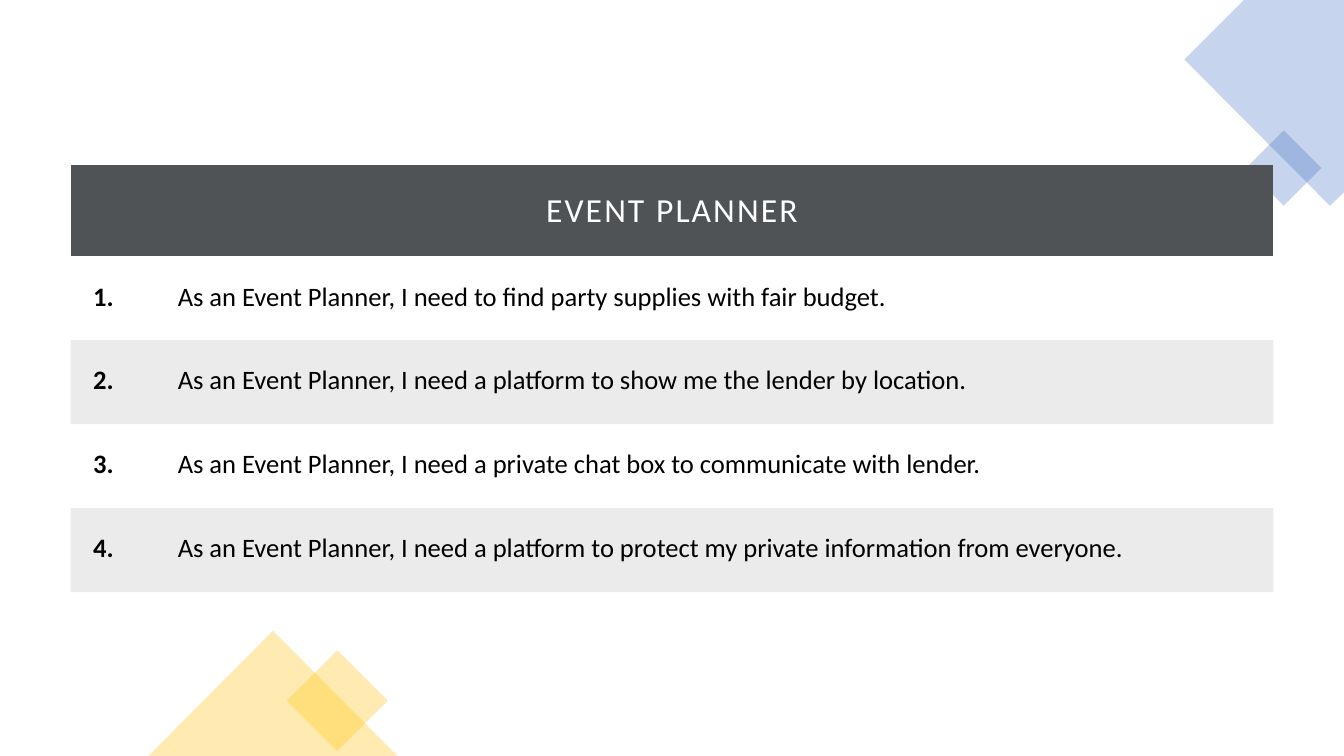
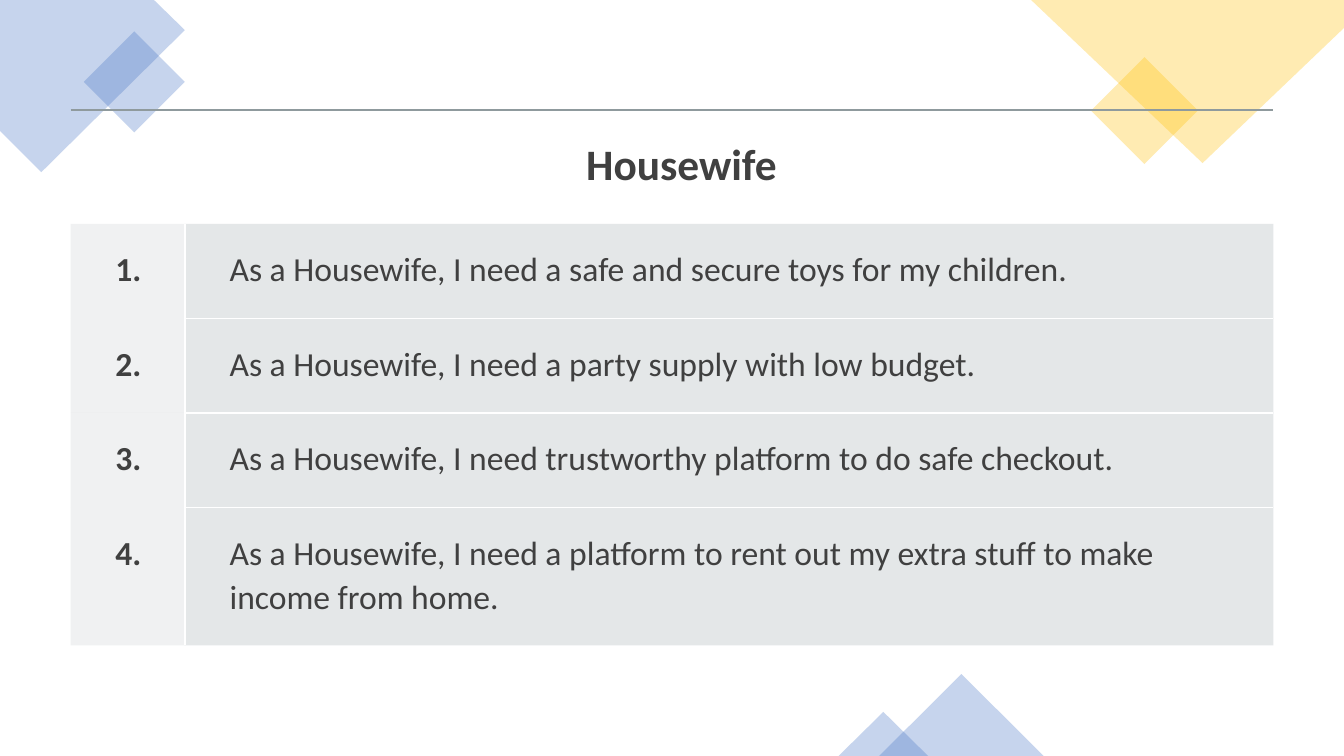
from dataclasses import dataclass
from math import sqrt

from lxml import etree
from pptx import Presentation
from pptx.dml.color import RGBColor
from pptx.enum import shapes as kinds, text as texts
from pptx.oxml import ns
from pptx.util import Pt


@dataclass(frozen=True)
class Theme:
    font: str = "Calibri"
    blue: str = "4472C4"
    yellow: str = "FFC000"
    white: str = "FFFFFF"
    black: str = "000000"
    slate: str = "505356"
    ink: str = "404040"
    mist: str = "B4BCBE"
    rule: str = "8F9A9D"
    rule_width: float = 1.5
    decor_alpha: int = 30
    line_spacing: float = 1.07
    space_after: int = 8
    table_left: float = 50.5
    table_width: float = 859


@dataclass(frozen=True)
class StoryStyle:
    top: float
    number_width: float
    header_height: float
    row_heights: tuple
    header_size: int
    story_size: int
    header_color: str
    story_color: str
    header_insets: tuple
    story_insets: tuple
    header_bold: bool = False
    header_spacing: int = 0


THEME = Theme()

PLANNER_STYLE = StoryStyle(
    top=118, number_width=60.5, header_height=65, row_heights=(60,) * 4,
    header_size=24, story_size=19,
    header_color=THEME.white, story_color=THEME.black,
    header_insets=(16, 16), story_insets=(16, 16), header_spacing=150,
)
HOUSEWIFE_STYLE = StoryStyle(
    top=78.5, number_width=81.5, header_height=81.5,
    row_heights=(67.5, 67.5, 67.5, 98.5),
    header_size=31, story_size=24,
    header_color=THEME.ink, story_color=THEME.ink,
    header_insets=(32, 18.5), story_insets=(32, 16.5), header_bold=True,
)

PLANNER_STORIES = (
    "As an Event Planner, I need to find party supplies with fair budget.",
    "As an Event Planner, I need a platform to show me the lender by location.",
    "As an Event Planner, I need a private chat box to communicate with lender.",
    "As an Event Planner, I need a platform to protect my private information from everyone.",
)
HOUSEWIFE_STORIES = (
    "As a Housewife, I need a safe and secure toys for my children.",
    "As a Housewife, I need a party supply with low budget.",
    "As a Housewife, I need trustworthy platform to do safe checkout.",
    "As a Housewife, I need a platform to rent out my extra stuff to make income from home.",
)


def set_alpha(parent, percent):
    color = parent.find(".//" + ns.qn("a:srgbClr"))
    etree.SubElement(color, ns.qn("a:alpha"), val=str(percent * 1000))


def tint(decor, color):
    decor.shadow.inherit = False
    decor.line.fill.background()
    decor.fill.solid()
    decor.fill.fore_color.rgb = RGBColor.from_string(color)
    set_alpha(decor.fill._xPr, THEME.decor_alpha)


def add_square(slide, center_x, center_y, side, color):
    span = side * sqrt(2)
    tint(slide.shapes.add_shape(
        kinds.MSO_SHAPE.DIAMOND, Pt(center_x - span / 2), Pt(center_y - span / 2),
        Pt(span), Pt(span)), color)


def add_peak(slide, left, top, width, color):
    tint(slide.shapes.add_shape(
        kinds.MSO_SHAPE.ISOSCELES_TRIANGLE, Pt(left), Pt(top),
        Pt(width), Pt(540 - top)), color)


def add_corner(slide, corners, color):
    (start_x, start_y), *others = corners
    outline = slide.shapes.build_freeform(Pt(start_x), Pt(start_y))
    outline.add_line_segments([(Pt(x), Pt(y)) for x, y in others], close=True)
    tint(outline.convert_to_shape(), color)


def set_borders(cell, colors, alpha=100):
    properties = cell._tc.get_or_add_tcPr()
    for side in "LRTB":
        border = etree.SubElement(properties, ns.qn("a:ln" + side))
        if side in colors:
            border.set("w", str(Pt(THEME.rule_width)))
            solid = etree.SubElement(border, ns.qn("a:solidFill"))
            etree.SubElement(solid, ns.qn("a:srgbClr"), val=colors[side])
            set_alpha(solid, alpha)
        else:
            border.set("w", "0")
            etree.SubElement(border, ns.qn("a:noFill"))


def fill_cell(cell, color=None, alpha=100):
    if color is None:
        cell.fill.background()
    else:
        cell.fill.solid()
        cell.fill.fore_color.rgb = RGBColor.from_string(color)
        set_alpha(cell._tc.tcPr.find(ns.qn("a:solidFill")), alpha)


def write_cell(cell, words, size, color, insets, bold=False, centered=False, spacing=0):
    left, others = insets
    cell.margin_left = Pt(left)
    cell.margin_right = cell.margin_top = cell.margin_bottom = Pt(others)
    cell.vertical_anchor = texts.MSO_ANCHOR.TOP
    paragraph = cell.text_frame.paragraphs[0]
    paragraph.alignment = texts.PP_ALIGN.CENTER if centered else texts.PP_ALIGN.LEFT
    paragraph.line_spacing = THEME.line_spacing
    paragraph.space_after = Pt(THEME.space_after)
    run = paragraph.add_run()
    run.text = words
    run.font.name = THEME.font
    run.font.size = Pt(size)
    run.font.bold = bold
    run.font.color.rgb = RGBColor.from_string(color)
    if spacing:
        run.font._element.set("spc", str(spacing))


def add_stories(slide, role, stories, style, paint):
    heights = (style.header_height, *style.row_heights)
    grid = slide.shapes.add_table(
        len(heights), 2, Pt(THEME.table_left), Pt(style.top),
        Pt(THEME.table_width), Pt(sum(heights))).table
    grid.first_row = grid.horz_banding = False
    grid.columns[0].width = Pt(style.number_width)
    grid.columns[1].width = Pt(THEME.table_width - style.number_width)
    for row, height in zip(grid.rows, heights):
        row.height = Pt(height)

    for row in range(len(heights)):
        for column in range(2):
            paint(grid.cell(row, column), row, column, len(stories))

    header = grid.cell(0, 0)
    header.merge(grid.cell(0, 1))
    write_cell(header, role, style.header_size, style.header_color, style.header_insets,
               style.header_bold, True, style.header_spacing)
    for number, story in enumerate(stories, 1):
        for column, words in enumerate((f"{number}.", story)):
            write_cell(grid.cell(number, column), words, style.story_size,
                       style.story_color, style.story_insets, bold=column == 0)


def paint_banded(cell, row, column, last_row):
    set_borders(cell, {})
    if row == 0:
        fill_cell(cell, THEME.slate)
    elif row % 2 == 0:
        fill_cell(cell, THEME.black, 8)
    else:
        fill_cell(cell)


def paint_ruled(cell, row, column, last_row):
    if row == 0:
        set_borders(cell, {"T": THEME.rule})
        fill_cell(cell)
    elif column == 0:
        set_borders(cell, {"R": THEME.white})
        fill_cell(cell, THEME.mist, 20)
    else:
        sides = "L" + "T" * (row > 1) + "B" * (row < last_row)
        set_borders(cell, dict.fromkeys(sides, THEME.white))
        fill_cell(cell, THEME.mist, 35)


def add_planner_slide(slide):
    add_corner(slide, [(960, 0), (888.5, 0), (846, 42.5), (950, 147), (960, 137.5)],
               THEME.blue)
    add_square(slide, 917, 120, 38, THEME.blue)
    add_square(slide, 241, 500.5, 51, THEME.yellow)
    add_peak(slide, 106, 450.5, 178, THEME.yellow)
    add_stories(slide, "EVENT PLANNER", PLANNER_STORIES, PLANNER_STYLE, paint_banded)


def add_housewife_slide(slide):
    add_corner(slide, [(110, 0), (0, 0), (0, 93.5), (29.5, 123), (132, 21.5)], THEME.blue)
    add_square(slide, 96, 58.5, 51, THEME.blue)
    add_square(slide, 817.5, 79, 54, THEME.yellow)
    add_corner(slide, [(960, 0), (736.5, 0), (859, 116.5), (960, 20)], THEME.yellow)
    add_peak(slide, 628, 481.5, 117.5, THEME.blue)
    add_peak(slide, 599, 508.5, 64, THEME.blue)
    add_stories(slide, "Housewife", HOUSEWIFE_STORIES, HOUSEWIFE_STYLE, paint_ruled)


def main():
    deck = Presentation()
    deck.slide_width, deck.slide_height = Pt(960), Pt(540)
    blank = deck.slide_layouts[6]
    for build in (add_planner_slide, add_housewife_slide):
        build(deck.slides.add_slide(blank))
    deck.save("out.pptx")


if __name__ == "__main__":
    main()
